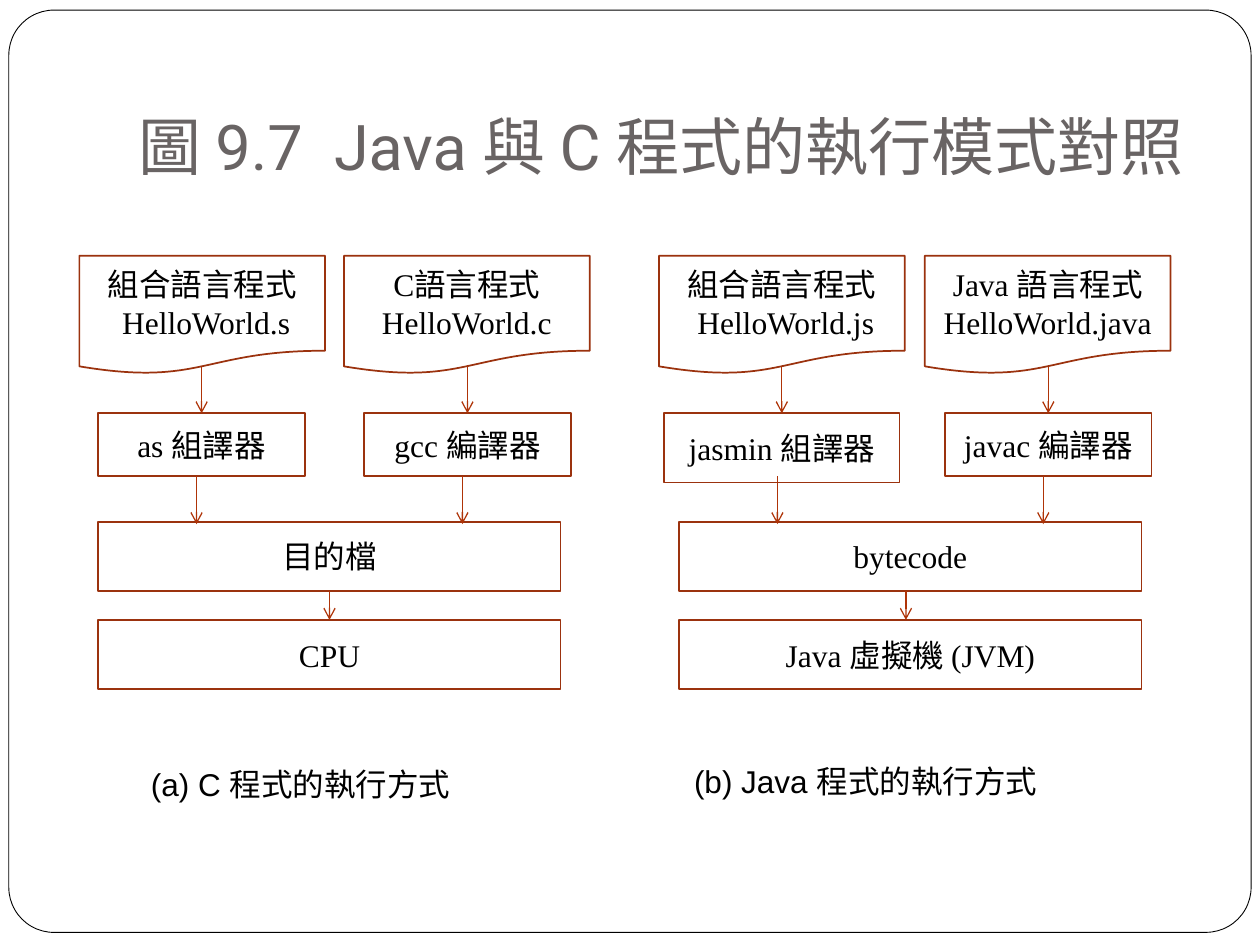
import pptx
import pptx.dml.color
import pptx.enum.shapes
import pptx.enum.text
import pptx.oxml
import pptx.oxml.ns
import pptx.util
from pptx.util import Inches

SHAPE = pptx.enum.shapes.MSO_SHAPE
ANCHOR = pptx.enum.text.MSO_ANCHOR
BOX_LINE = "9B320E"
ARROW_LINE = "AF3408"
BLACK = "000000"

DOCUMENT_TOP, TOOL_TOP, TARGET_TOP, MACHINE_TOP = 2.03, 3.28, 4.14, 4.92
DOCUMENT_WIDTH, DOCUMENT_HEIGHT = 1.95, 0.94
WIDE_WIDTH, WIDE_HEIGHT = 3.67, 0.55
DOCUMENT_EDGE = 2.91  # where the wavy lower edge crosses the centre

# Each branch: document left and lines, tool left, width, height and label, lower arrow x
PANELS = [
    {
        "branches": [
            (0.63, ["組合語言程式", " HelloWorld.s"], 0.78, 1.64, 0.5, "as 組譯器", 1.56),
            (2.73, ["C語言程式HelloWorld.c"], 2.89, 1.64, 0.5, "gcc 編譯器", 3.67),
        ],
        "left": 0.78, "target": "目的檔", "machine": "CPU", "machine_arrow": None,
        "caption": ("(a) C 程式的執行方式", 1.1, 6.02, 2.63),
    },
    {
        "branches": [
            (5.23, ["組合語言程式", " HelloWorld.js"], 5.27, 1.87, 0.55, "jasmin 組譯器", 6.17),
            (7.34, ["Java 語言程式HelloWorld.java"], 7.5, 1.64, 0.5, "javac 編譯器", 8.28),
        ],
        "left": 5.39, "target": "bytecode", "machine": "Java 虛擬機 (JVM)", "machine_arrow": 7.19,
        "caption": ("(b) Java 程式的執行方式", 5.41, 6, 2.98),
    },
]


def color(value):
    return pptx.dml.color.RGBColor.from_string(value)


def write_lines(shape, lines, font_name, size, font_color, alignment):
    frame = shape.text_frame
    frame.text = "\n".join(lines)
    for paragraph in frame.paragraphs:
        paragraph.alignment = alignment
        paragraph.font.name = font_name
        paragraph.font.size = pptx.util.Pt(size)
        paragraph.font.color.rgb = color(font_color)


def add_frame(slide):
    frame = slide.shapes.add_shape(
        SHAPE.ROUNDED_RECTANGLE, Inches(0.07), Inches(0.08), Inches(9.86), Inches(7.32))
    frame.adjustments[0] = 0.049
    frame.shadow.inherit = False
    frame.fill.solid()
    frame.fill.fore_color.rgb = color("FFFFFF")
    frame.line.color.rgb = color(BLACK)
    frame.line.width = pptx.util.Pt(0.5)


def add_text(slide, text, left, top, width, height, font_name, size, font_color):
    box = slide.shapes.add_textbox(Inches(left), Inches(top), Inches(width), Inches(height))
    write_lines(box, [text], font_name, size, font_color, pptx.enum.text.PP_ALIGN.LEFT)
    return box.text_frame


def add_box(slide, kind, lines, left, top, width, height):
    box = slide.shapes.add_shape(kind, Inches(left), Inches(top), Inches(width), Inches(height))
    box.shadow.inherit = False
    box.fill.background()
    box.line.color.rgb = color(BOX_LINE)
    box.line.width = pptx.util.Pt(1)
    box.text_frame.vertical_anchor = ANCHOR.MIDDLE
    box.text_frame.word_wrap = True
    write_lines(box, lines, "Times New Roman", 18, BLACK, pptx.enum.text.PP_ALIGN.CENTER)
    return box


def add_down_arrow(slide, x, top, bottom, source=None, target=None):
    """Draw a downward arrow, joined to the given boxes."""
    arrow = slide.shapes.add_connector(
        pptx.enum.shapes.MSO_CONNECTOR.STRAIGHT,
        Inches(x), Inches(top), Inches(x), Inches(bottom))
    if source is not None:
        arrow.begin_connect(source, 2)
    if target is not None:
        arrow.end_connect(target, 0)
    arrow.line.color.rgb = color(ARROW_LINE)
    arrow.line.width = pptx.util.Pt(0.75)
    head = pptx.oxml.parse_xml(f'<a:tailEnd {pptx.oxml.ns.nsdecls("a")} type="arrow"/>')
    arrow.line._get_or_add_ln().append(head)
    effects = pptx.oxml.parse_xml(f'<a:effectLst {pptx.oxml.ns.nsdecls("a")}/>')
    arrow._element.spPr.append(effects)


def add_branch(slide, document_left, lines, tool_left, tool_width, tool_height, label, arrow_x):
    """Draw a source document, its translator and the arrows below each."""
    add_box(slide, SHAPE.FLOWCHART_DOCUMENT, lines,
            document_left, DOCUMENT_TOP, DOCUMENT_WIDTH, DOCUMENT_HEIGHT)
    tool = add_box(slide, SHAPE.RECTANGLE, [label], tool_left, TOOL_TOP, tool_width, tool_height)
    add_down_arrow(slide, tool_left + tool_width / 2, DOCUMENT_EDGE, TOOL_TOP, target=tool)
    add_down_arrow(slide, arrow_x, 3.78, 4.16)


def add_panel(slide, panel):
    target, machine = [
        add_box(slide, SHAPE.RECTANGLE, [panel[name]], panel["left"], top, WIDE_WIDTH, WIDE_HEIGHT)
        for name, top in (("target", TARGET_TOP), ("machine", MACHINE_TOP))
    ]
    for branch in panel["branches"]:
        add_branch(slide, *branch)
    target_bottom = TARGET_TOP + WIDE_HEIGHT
    if panel["machine_arrow"] is None:
        center = panel["left"] + WIDE_WIDTH / 2
        add_down_arrow(slide, center, target_bottom, MACHINE_TOP, target, machine)
    else:
        add_down_arrow(slide, panel["machine_arrow"], target_bottom, MACHINE_TOP)
    text, left, top, width = panel["caption"]
    caption = add_text(slide, text, left, top, width, 0.4, "Arial", 18, BLACK)
    caption.word_wrap = False
    caption.auto_size = pptx.enum.text.MSO_AUTO_SIZE.SHAPE_TO_FIT_TEXT


def main():
    presentation = pptx.Presentation()
    presentation.slide_width = Inches(10)
    presentation.slide_height = Inches(7.5)
    slide = presentation.slides.add_slide(presentation.slide_layouts[6])
    add_frame(slide)
    title = add_text(slide, "圖 9.7  Java 與 C 程式的執行模式對照",
                     1, 0.3, 8.5, 1.25, "Roboto", 36, "696464")
    title.word_wrap = True
    title.vertical_anchor = ANCHOR.BOTTOM
    title.margin_bottom = Inches(0.1)
    for panel in PANELS:
        add_panel(slide, panel)
    presentation.save("out.pptx")


if __name__ == "__main__":
    main()
